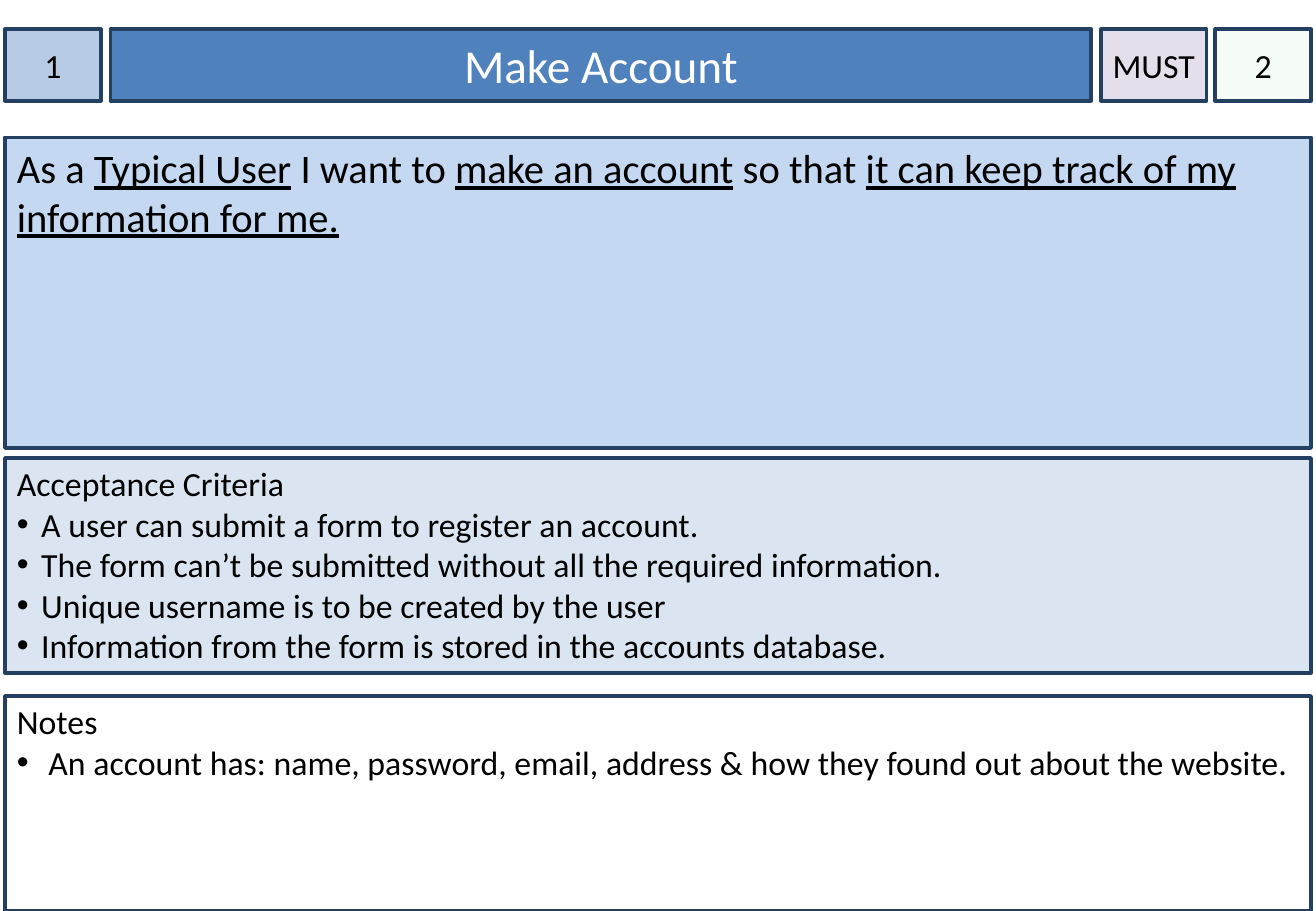
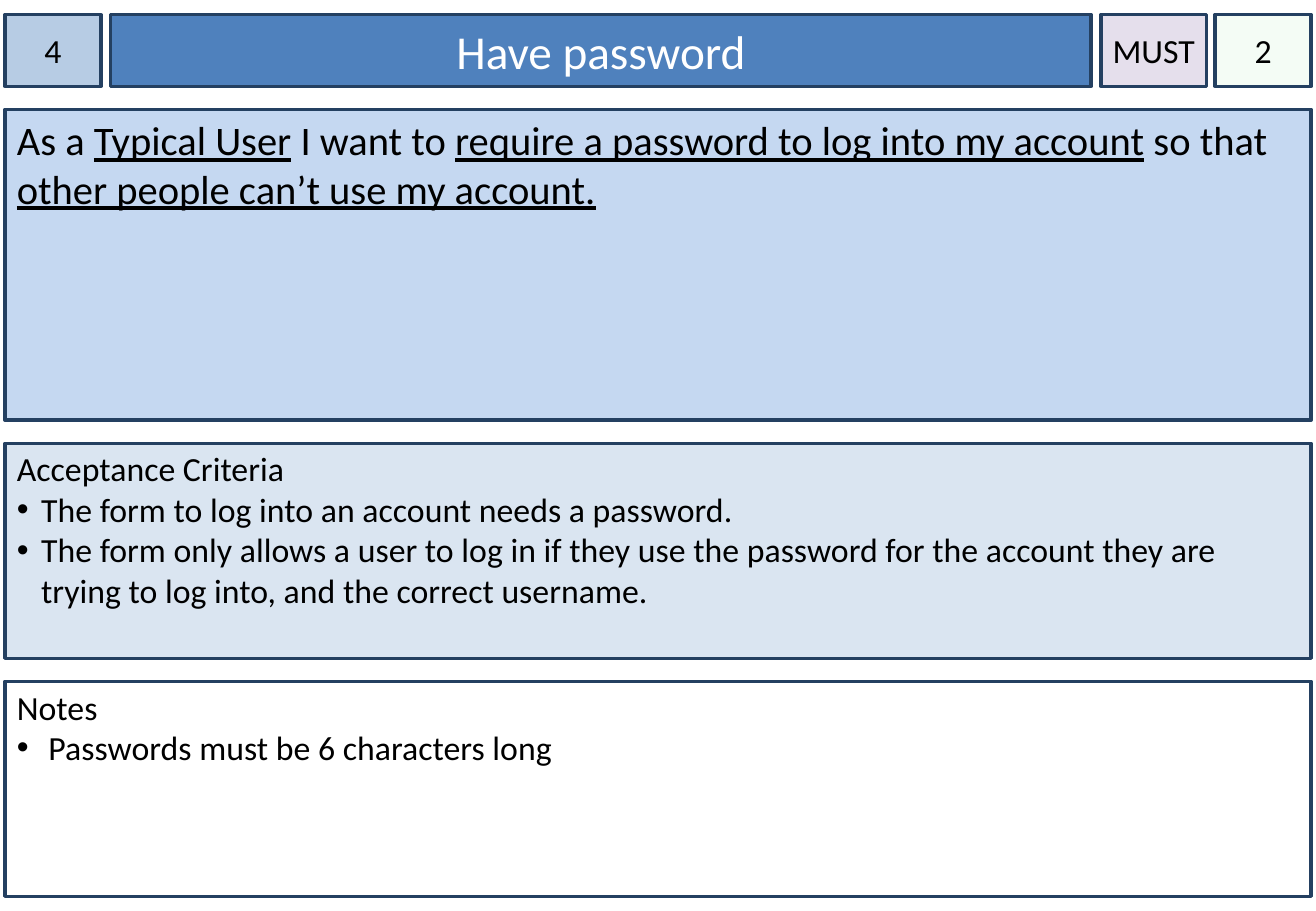
from lxml import etree
from pptx import Presentation
from pptx import util as u
from pptx.dml.color import RGBColor
from pptx.enum import shapes, text
from pptx.oxml.ns import qn

FONT = "Calibri"
BLACK, WHITE, BORDER = "000000", "FFFFFF", "244061"
FILLS = {"id": "B7CCE4", "title": "4F81BD", "priority": "E5DFEC", "points": "CCF0CD",
         "story": "C5D8F1", "criteria": "DAE5F1", "notes": WHITE}
LEFT, WIDTH = 0.04, 10.75
BADGE_H, STORY_H, PANEL_H = 0.59, 2.56, 1.77
CRITERIA_DROP, NOTES_DROP = 3.53, 5.49


def rgb(value):
    return RGBColor.from_string(value)


def apply(target, values):
    for name, value in values.items():
        setattr(target, name, value)


class StoryCard:
    def __init__(self, prs):
        self.prs = prs
        self.s = None

    def new_slide(self):
        self.s = self.prs.slides.add_slide(self.prs.slide_layouts[5])

    def style(self, sp, fill, side, top, anchor):
        sp.fill.solid()
        sp.fill.fore_color.rgb = rgb(fill)
        sp.line.color.rgb = rgb(BORDER)
        sp.line.width = u.Pt(2)
        tf = sp.text_frame
        apply(tf, {"margin_left": u.Inches(side), "margin_right": u.Inches(side),
                   "margin_top": u.Inches(top), "margin_bottom": u.Inches(0.05),
                   "word_wrap": True, "auto_size": text.MSO_AUTO_SIZE.NONE,
                   "vertical_anchor": anchor})
        return tf

    def box(self, x, y, w, h, fill, side=0.1, top=0.05, anchor=text.MSO_ANCHOR.TOP):
        sp = self.s.shapes.add_shape(shapes.MSO_SHAPE.RECTANGLE,
                                     *map(u.Inches, (x, y, w, h)))
        sp.shadow.inherit = False
        return sp, self.style(sp, fill, side, top, anchor)

    def run(self, p, words, size=20, color=BLACK, underline=None):
        r = p.add_run()
        r.text = words
        apply(r.font, {"name": FONT, "size": u.Pt(size), "underline": underline})
        r.font.color.rgb = rgb(color)

    def title(self, words, y):
        sp = self.s.shapes.title
        apply(sp, {"left": u.Inches(0.91), "top": u.Inches(y),
                   "width": u.Inches(8.07), "height": u.Inches(BADGE_H)})
        tf = self.style(sp, FILLS["title"], 0.1, 0.05, text.MSO_ANCHOR.MIDDLE)
        p = tf.paragraphs[0]
        p.alignment = text.PP_ALIGN.CENTER
        self.run(p, words, 28, WHITE)

    def badge(self, words, x, y, w, fill, alpha=None):
        sp, tf = self.box(x, y, w, BADGE_H, fill, side=0, anchor=text.MSO_ANCHOR.MIDDLE)
        if alpha:
            color = sp.fill._xPr.find(qn("a:solidFill"))[0]
            etree.SubElement(color, qn("a:alpha"), val=str(alpha * 1000))
        p = tf.paragraphs[0]
        p.alignment = text.PP_ALIGN.CENTER
        self.run(p, words)

    def story(self, role, want, reason, y):
        tf = self.box(LEFT, y, WIDTH, STORY_H, FILLS["story"])[1]
        p = tf.paragraphs[0]
        p.alignment = text.PP_ALIGN.LEFT
        for lead, part in (("As a ", role), (" I want to ", want), (" so that ", reason)):
            self.run(p, lead, 24)
            self.run(p, part, 24, underline=True)

    def bullet(self, p, indent):
        pPr = p._p.get_or_add_pPr()
        pPr.set("marL", str(u.Inches(indent)))
        pPr.set("indent", str(-u.Inches(indent)))
        color = etree.SubElement(pPr, qn("a:buClr"))
        etree.SubElement(color, qn("a:srgbClr"), val=BLACK)
        etree.SubElement(pPr, qn("a:buFont"), typeface="Arial")
        etree.SubElement(pPr, qn("a:buChar"), char="•")

    def panel(self, heading, items, y, fill, indent):
        tf = self.box(LEFT, y, WIDTH, PANEL_H, fill, top=0.04)[1]
        p = tf.paragraphs[0]
        p.alignment = text.PP_ALIGN.LEFT
        self.run(p, heading)
        for item in items:
            p = tf.add_paragraph()
            p.alignment = text.PP_ALIGN.LEFT
            self.bullet(p, indent)
            self.run(p, item)

    def card(self, number, title, priority, points, story, criteria, notes, top, story_top):
        self.new_slide()
        self.badge(number, LEFT, top, 0.79, FILLS["id"])
        self.title(title, top)
        self.badge(priority, 9.06, top, 0.87, FILLS["priority"])
        self.badge(points, 10, top, 0.79, FILLS["points"], alpha=20)
        self.story(*story, story_top)
        self.panel("Acceptance Criteria", criteria, top + CRITERIA_DROP, FILLS["criteria"], 0.2)
        self.panel("Notes", notes, top + NOTES_DROP, FILLS["notes"], 0.26)


CARDS = [
    {"number": "1", "title": "Make Account", "priority": "MUST", "points": "2",
     "story": ("Typical User", "make an account",
               "it can keep track of my information for me."),
     "criteria": ["A user can submit a form to register an account.",
                  "The form can’t be submitted without all the required information.",
                  "Unique username is to be created by the user",
                  "Information from the form is stored in the accounts database."],
     "notes": ["An account has: name, password, email, address & how they found out "
               "about the website."],
     "top": 0.24, "story_top": 1.13},
    {"number": "4", "title": "Have password", "priority": "MUST", "points": "2",
     "story": ("Typical User", "require a password to log into my account",
               "other people can’t use my account."),
     "criteria": ["The form to log into an account needs a password.",
                  "The form only allows a user to log in if they use the password for the "
                  "account they are trying to log into, and the correct username."],
     "notes": ["Passwords must be 6 characters long"],
     "top": 0.12, "story_top": 0.9},
]


def main():
    prs = Presentation()
    apply(prs, {"slide_width": u.Inches(10.83), "slide_height": u.Inches(7.5)})
    deck = StoryCard(prs)
    for card in CARDS:
        deck.card(**card)
    prs.save("out.pptx")


if __name__ == "__main__":
    main()
